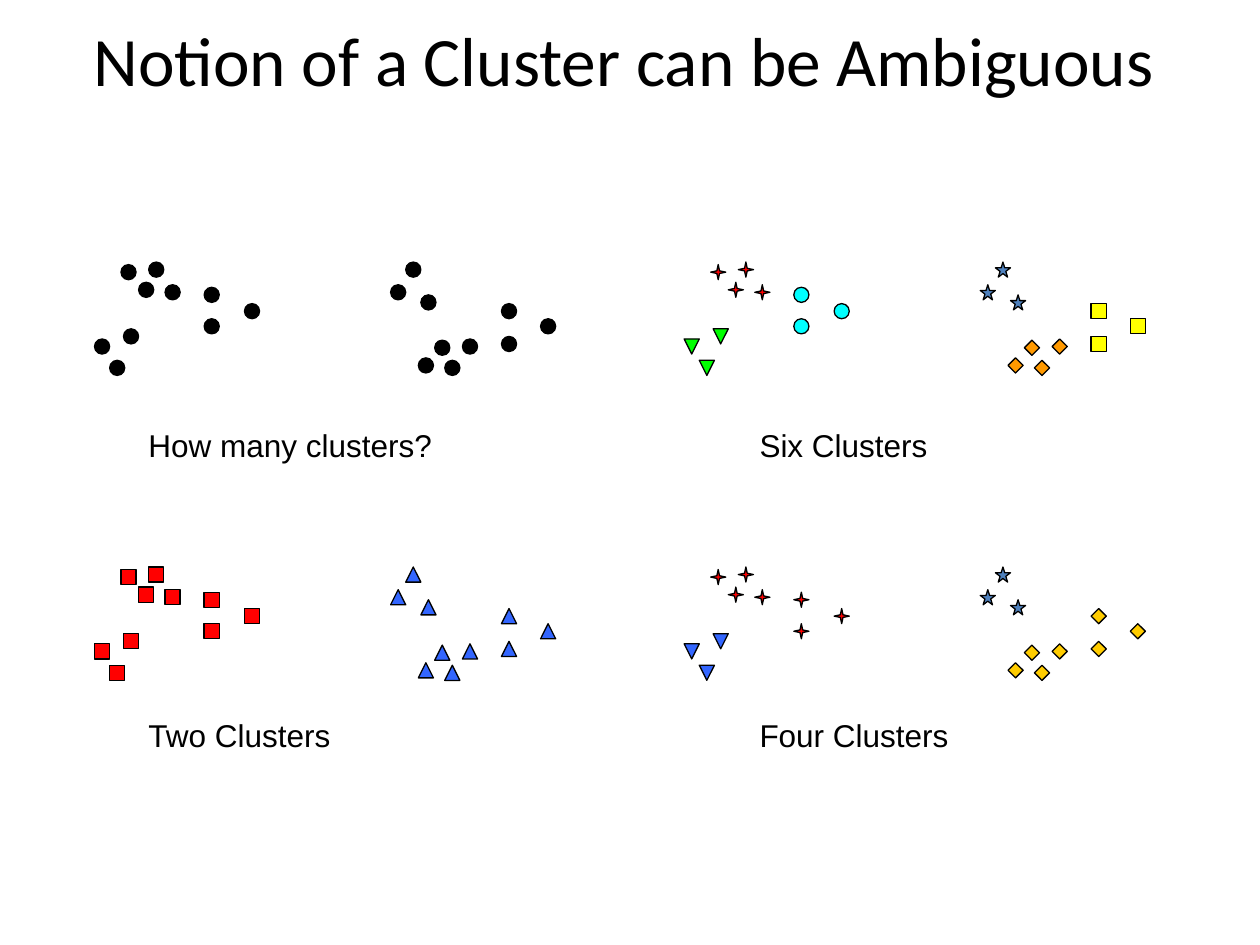
from pptx import Presentation
from pptx.dml.color import RGBColor
from pptx.enum.shapes import MSO_SHAPE
from pptx.enum.text import MSO_ANCHOR, PP_ALIGN
from pptx.oxml.ns import qn
from pptx.util import Inches, Pt

DOT = MSO_SHAPE.OVAL
BOX = MSO_SHAPE.RECTANGLE
GEM = MSO_SHAPE.DIAMOND
TRI = MSO_SHAPE.ISOSCELES_TRIANGLE
PEAK = MSO_SHAPE.FLOWCHART_EXTRACT
STAR4 = MSO_SHAPE.STAR_4_POINT
STAR5 = MSO_SHAPE.STAR_5_POINT
MIDDLE = MSO_ANCHOR.MIDDLE
CENTER = PP_ALIGN.CENTER

BLACK = RGBColor(0, 0, 0)
RED = RGBColor(0xFF, 0, 0)
GREEN = RGBColor(0, 0xFF, 0)
CYAN = RGBColor(0, 0xFF, 0xFF)
BLUE = RGBColor(0x33, 0x66, 0xFF)
STEEL = RGBColor(0x4F, 0x81, 0xBD)
YELLOW = RGBColor(0xFF, 0xFF, 0)
ORANGE = RGBColor(0xFF, 0x99, 0)
GOLD = RGBColor(0xFF, 0xCC, 0)

SIZE = 0.12          # marker width and height
STEP_X = 4.68        # panel pitch
STEP_Y = 2.42
LABEL_X, LABEL_Y = (1.08, 5.93), (3.33, 5.63)

# Six small clusters of points, as left and top in the first panel
POINTS = [
    [(3.67, 2.69), (3.32, 2.84), (3.53, 2.86), (3.45, 2.7)],
    [(3.34, 2.34), (3.1, 2.26), (3.22, 2.08)],
    [(3.98, 2.67), (4.29, 2.53), (3.98, 2.41)],
    [(1.31, 2.26), (0.96, 2.1), (1.18, 2.08), (1.1, 2.24)],
    [(0.98, 2.61), (0.75, 2.69), (0.87, 2.86)],
    [(1.62, 2.28), (1.94, 2.41), (1.62, 2.53)],
]

# Panels: column, row, label, and shape and colour for each small cluster
PANELS = [
    (0, 0, "How many clusters?", [(DOT, BLACK)] * 6),
    (1, 1, "Four Clusters", [(GEM, GOLD), (STAR5, STEEL), (GEM, GOLD),
                             (STAR4, RED), (PEAK, BLUE), (STAR4, RED)]),
    (0, 1, "Two Clusters", [(TRI, BLUE)] * 3 + [(BOX, RED)] * 3),
    (1, 0, "Six Clusters", [(GEM, ORANGE), (STAR5, STEEL), (BOX, YELLOW),
                            (STAR4, RED), (TRI, GREEN), (DOT, CYAN)]),
]


def add_text(shapes, text, left, top, width, height, font, size):
    box = shapes.add_textbox(Inches(left), Inches(top),
                             Inches(width), Inches(height))
    box.text_frame.word_wrap = True
    run = box.text_frame.paragraphs[0].add_run()
    run.text = text
    run.font.name = font
    run.font.size = Pt(size)
    run.font.color.rgb = BLACK
    return box.text_frame


def add_mark(shapes, kind, fill, left, top, flip):
    mark = shapes.add_shape(kind, Inches(left), Inches(top),
                            Inches(SIZE), Inches(SIZE))
    mark.shadow.inherit = False
    mark.fill.solid()
    mark.fill.fore_color.rgb = fill
    mark.line.color.rgb = BLACK
    mark.line.width = Pt(0.75)
    if kind == STAR4:
        mark.adjustments[0] = 0.125
    if flip:
        mark.element.spPr.find(qn("a:xfrm")).set("flipV", "1")


def add_panel(slide, col, row, label, styles):
    shapes = slide.shapes.add_group_shape().shapes
    for i, (kind, fill) in enumerate(styles):
        # The left half holds the last three clusters, turned upside down
        for x, y in POINTS[i]:
            add_mark(shapes, kind, fill, x + col * STEP_X,
                     y + row * STEP_Y, flip=i >= 3)
    add_text(shapes, label, LABEL_X[col], LABEL_Y[row], 2.5, 0.4, "Arial", 18)


def main():
    deck = Presentation()
    deck.slide_width = Inches(10)
    deck.slide_height = Inches(7.5)
    slide = deck.slides.add_slide(deck.slide_layouts[6])

    # Title
    title = add_text(slide.shapes, "Notion of a Cluster can be Ambiguous",
                     0.42, 0.17, 9.06, 0.6, "Calibri", 39.6)
    title.vertical_anchor = MIDDLE
    title.paragraphs[0].alignment = CENTER

    # Four ways to group the same points
    for panel in PANELS:
        add_panel(slide, *panel)

    deck.save("out.pptx")


if __name__ == "__main__":
    main()
